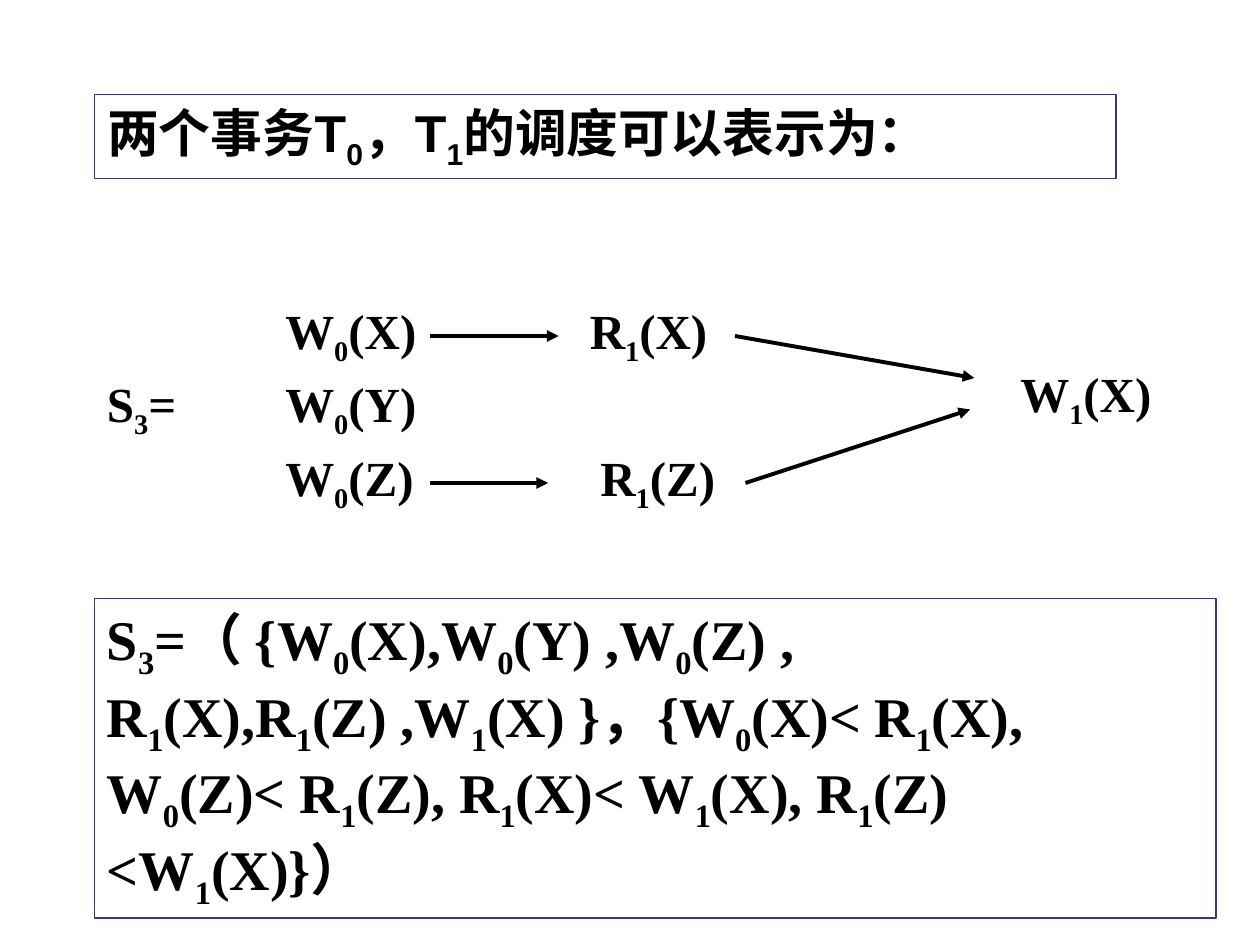
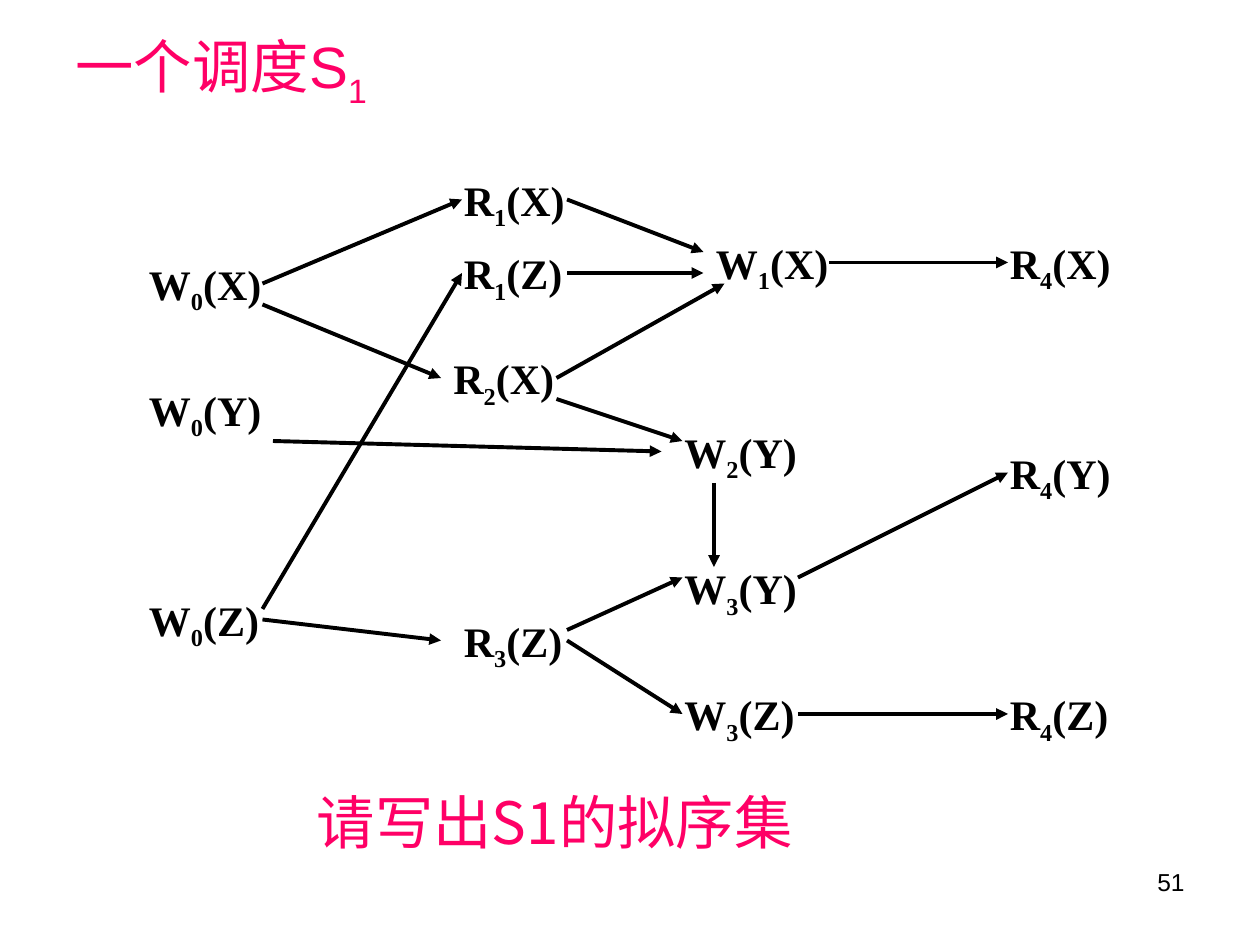
"""Two slides on transaction schedules: S3 as a partial order and the exercise on S1."""
from lxml import etree
from pptx import Presentation
from pptx import util as u
from pptx.dml.color import RGBColor
from pptx.enum import shapes, text
from pptx.oxml import ns

BLACK = RGBColor(0x00, 0x00, 0x00)
WHITE = RGBColor(0xFF, 0xFF, 0xFF)
PINK = RGBColor(0xFF, 0x00, 0x66)
NAVY = RGBColor(0x33, 0x33, 0x99)
SANS, SERIF, CJK = "Arial", "Times New Roman", "Noto Sans CJK SC"
PX = u.Inches(1) // 120


class Deck:
    """Holds the shared style and the current slide."""

    def __init__(self):
        self.prs = Presentation()
        self.prs.slide_width, self.prs.slide_height = 1200 * PX, 900 * PX
        self.slide = None

    def new_slide(self):
        """Start a slide that has only a title."""
        self.slide = self.prs.slides.add_slide(self.prs.slide_layouts[5])

    def put_text(self, shape, content, size, font, color=BLACK, bold=False,
                 align=text.PP_ALIGN.LEFT, spacing=1.0):
        """Fill a shape with one paragraph; the character after "_" is a subscript."""
        frame = shape.text_frame
        frame.word_wrap = True
        frame.auto_size = text.MSO_AUTO_SIZE.NONE
        frame.vertical_anchor = text.MSO_ANCHOR.TOP
        line = frame.paragraphs[0]
        line.alignment, line.line_spacing = align, spacing
        head, *rest = content.split("_")
        pieces = [(head, False)]
        for part in rest:
            pieces += [(part[0], True), (part[1:], False)]
        for piece, lowered in pieces:
            if not piece:
                continue
            run = line.add_run()
            run.text = piece
            run.font.size, run.font.bold, run.font.name = u.Pt(size), bold, font
            run.font.color.rgb = color
            props = run.font._element
            etree.SubElement(props, ns.qn("a:ea")).set("typeface", CJK)
            if lowered:
                props.set("baseline", "-25000")

    def frame(self, shape, width):
        """Give a shape the white fill and navy outline."""
        shape.fill.solid()
        shape.fill.fore_color.rgb = WHITE
        shape.line.color.rgb = NAVY
        shape.line.width = u.Pt(width)

    def title(self, content, box, size, **style):
        """Place and format the title placeholder."""
        title = self.slide.shapes.title
        title.left, title.top, title.width, title.height = (n * PX for n in box)
        self.put_text(title, content, size, SANS, **style)
        return title

    def textbox(self, content, box, size, font, **style):
        """Add a plain text box."""
        shape = self.slide.shapes.add_textbox(*(n * PX for n in box))
        self.put_text(shape, content, size, font, **style)

    def panel(self, content, box, size):
        """Add an outlined rectangle with bold text."""
        shape = self.slide.shapes.add_shape(
            shapes.MSO_SHAPE.RECTANGLE, *(n * PX for n in box))
        shape.shadow.inherit = False
        self.frame(shape, 1)
        self.put_text(shape, content, size, SERIF, bold=True)

    def operations(self, columns, width, height, size):
        """Add the operation labels, listed by the left edge of their column."""
        for left, labels in columns.items():
            for operation, top in labels:
                self.textbox(operation, (left, top, width, height), size, SERIF, bold=True)

    def arrows(self, routes):
        """Add an arrow for each (x1, y1, x2, y2)."""
        for route in routes:
            arrow = self.slide.shapes.add_connector(
                shapes.MSO_CONNECTOR.STRAIGHT, *(n * PX for n in route))
            arrow.line.color.rgb = BLACK
            arrow.line.width = u.Pt(2.25)
            etree.SubElement(arrow.line._get_or_add_ln(), ns.qn("a:tailEnd")).set("type", "triangle")
            etree.SubElement(arrow._element.spPr, ns.qn("a:effectLst"))


def schedule_s3(deck):
    """Show schedule S3 as a graph and as a partial order."""
    deck.new_slide()
    heading = deck.title("两个事务T_0，T_1的调度可以表示为：", (90, 90, 973, 80), 29.6, bold=True)
    deck.frame(heading, 0.75)
    deck.operations({
        90: [("S_3=", 350)],
        260: [("W_0(X)", 280), ("W_0(Y)", 350), ("W_0(Z)", 420)],
        550: [("R_1(X)", 280)],
        560: [("R_1(Z)", 420)],
        960: [("W_1(X)", 340)],
    }, 180, 76, 28)
    deck.arrows([
        (410, 320, 532, 320), (410, 460, 522, 460),
        (700, 320, 928, 360), (710, 460, 924, 390),
    ])
    deck.panel(
        "S_3=（ {W_0(X),W_0(Y) ,W_0(Z) , R_1(X),R_1(Z) ,W_1(X) }，{W_0(X)< R_1(X), "
        "W_0(Z)< R_1(Z), R_1(X)< W_1(X), R_1(Z) <W_1(X)}）",
        (90, 570, 1068, 304), 32)


def schedule_s1(deck):
    """Show schedule S1 and ask for its partial order."""
    deck.new_slide()
    deck.title("一个调度S_1", (60, 30, 350, 80), 33.3, color=PINK, spacing=0.8)
    deck.operations({
        130: [("W_0(X)", 240), ("W_0(Y)", 360), ("W_0(Z)", 560)],
        420: [("R_2(X)", 330)],
        430: [("R_1(X)", 160), ("R_1(Z)", 230), ("R_3(Z)", 580)],
        640: [("W_2(Y)", 400), ("W_3(Y)", 530), ("W_3(Z)", 650)],
        670: [("W_1(X)", 220)],
        950: [("R_4(X)", 220), ("R_4(Y)", 420), ("R_4(Z)", 650)],
    }, 140, 67, 24)
    deck.arrows([
        (250, 270, 440, 190), (250, 290, 420, 360), (260, 420, 630, 430),
        (250, 580, 440, 260), (250, 590, 420, 610),
        (540, 190, 670, 240), (540, 260, 670, 260),
        (530, 360, 690, 270), (530, 380, 650, 420),
        (540, 600, 650, 550), (540, 610, 650, 680), (680, 460, 680, 540),
        (790, 250, 960, 250), (760, 550, 960, 450), (760, 680, 960, 680),
    ])
    deck.textbox("请写出S1的拟序集", (290, 750, 550, 80), 33.3, CJK, color=PINK, spacing=0.9)
    deck.textbox("51", (860, 820, 280, 62), 14, SANS, align=text.PP_ALIGN.RIGHT)


def main():
    """Build and save the deck."""
    deck = Deck()
    schedule_s3(deck)
    schedule_s1(deck)
    deck.prs.save("out.pptx")


if __name__ == "__main__":
    main()
